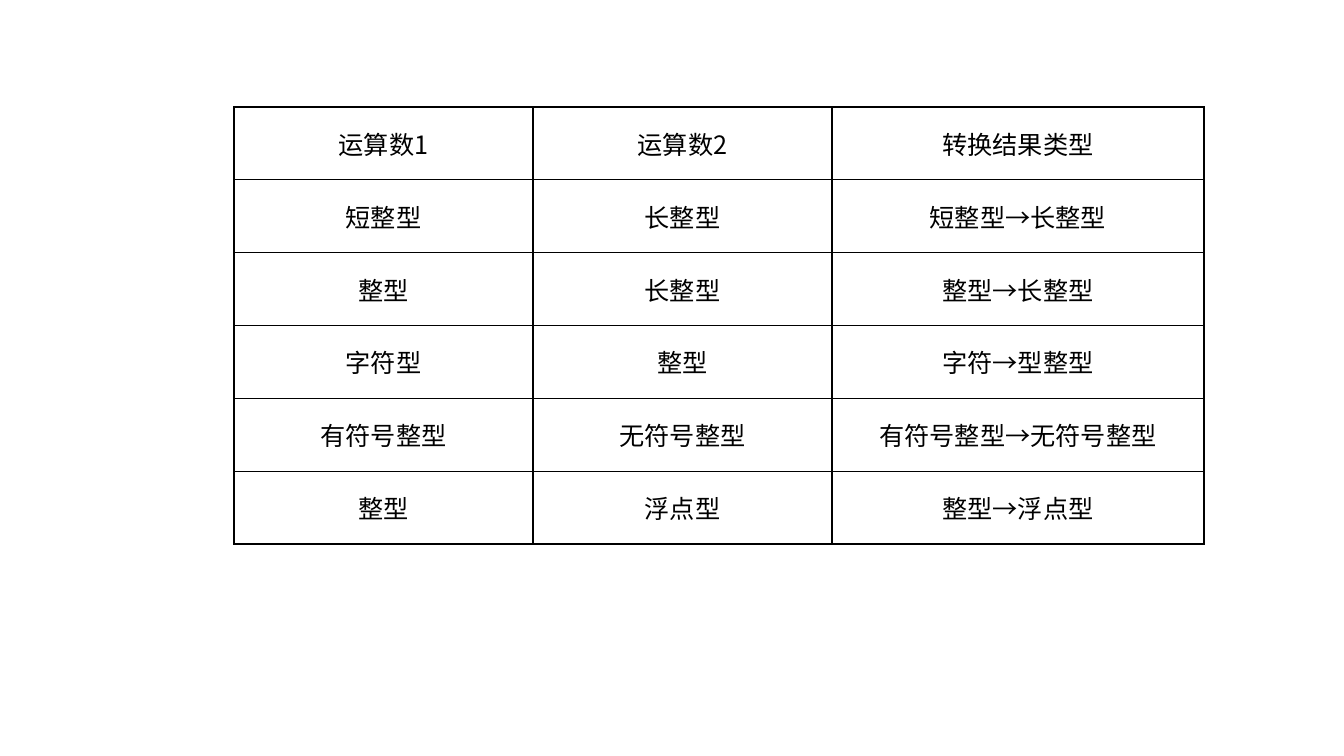
from lxml import etree
from pptx import Presentation
from pptx.dml.color import RGBColor
from pptx.enum.text import MSO_ANCHOR, PP_ALIGN
from pptx.oxml.ns import qn
from pptx.util import Pt

MIDDLE = MSO_ANCHOR.MIDDLE
CENTER = PP_ALIGN.CENTER
BLACK = RGBColor(0x00, 0x00, 0x00)
FONT = "Noto Sans CJK SC"
EMU_PER_PX = 914400 / 100.8
COLUMN_WIDTHS = (299, 299, 372)
CONVERSIONS = (
    ("运算数1", "运算数2", "转换结果类型"),
    ("短整型", "长整型", "短整型→长整型"),
    ("整型", "长整型", "整型→长整型"),
    ("字符型", "整型", "字符→型整型"),
    ("有符号整型", "无符号整型", "有符号整型→无符号整型"),
    ("整型", "浮点型", "整型→浮点型"),
)


def px(n):
    """Turn pixels into EMU."""
    return round(n * EMU_PER_PX)


def set_borders(cell, color, width):
    """Draw a solid line on all four sides of a cell."""
    tc_pr = cell._tc.get_or_add_tcPr()
    for side in ("a:lnL", "a:lnR", "a:lnT", "a:lnB"):
        ln = etree.SubElement(tc_pr, qn(side), w=str(width))
        fill = etree.SubElement(ln, qn("a:solidFill"))
        etree.SubElement(fill, qn("a:srgbClr"), val=str(color))


def fill_cell(cell, text):
    """Write centred black text into a bordered cell without fill."""
    set_borders(cell, BLACK, Pt(1))
    cell.fill.background()
    cell.vertical_anchor = MIDDLE
    p = cell.text_frame.paragraphs[0]
    p.text = text
    p.alignment = CENTER
    p.font.size = Pt(18)
    p.font.name = FONT
    p.font.color.rgb = BLACK
    def_rpr = p._p.pPr.find(qn("a:defRPr"))
    etree.SubElement(def_rpr, qn("a:ea"), typeface=FONT)


def add_grid(s, left, top, height, widths, rows):
    """Add a plain table with equal row heights."""
    table = s.shapes.add_table(
        len(rows), len(widths), px(left), px(top), px(sum(widths)), px(height)
    ).table
    table.first_row = False
    table.horz_banding = False
    for column, width in zip(table.columns, widths):
        column.width = px(width)
    for i, row in enumerate(rows):
        for j, text in enumerate(row):
            fill_cell(table.cell(i, j), text)


def main():
    """Build the slide of type conversions."""
    prs = Presentation()
    prs.slide_width, prs.slide_height = px(1344), px(756)
    s = prs.slides.add_slide(prs.slide_layouts[6])
    add_grid(s, 234, 107, 437, COLUMN_WIDTHS, CONVERSIONS)
    prs.save("out.pptx")


main()
